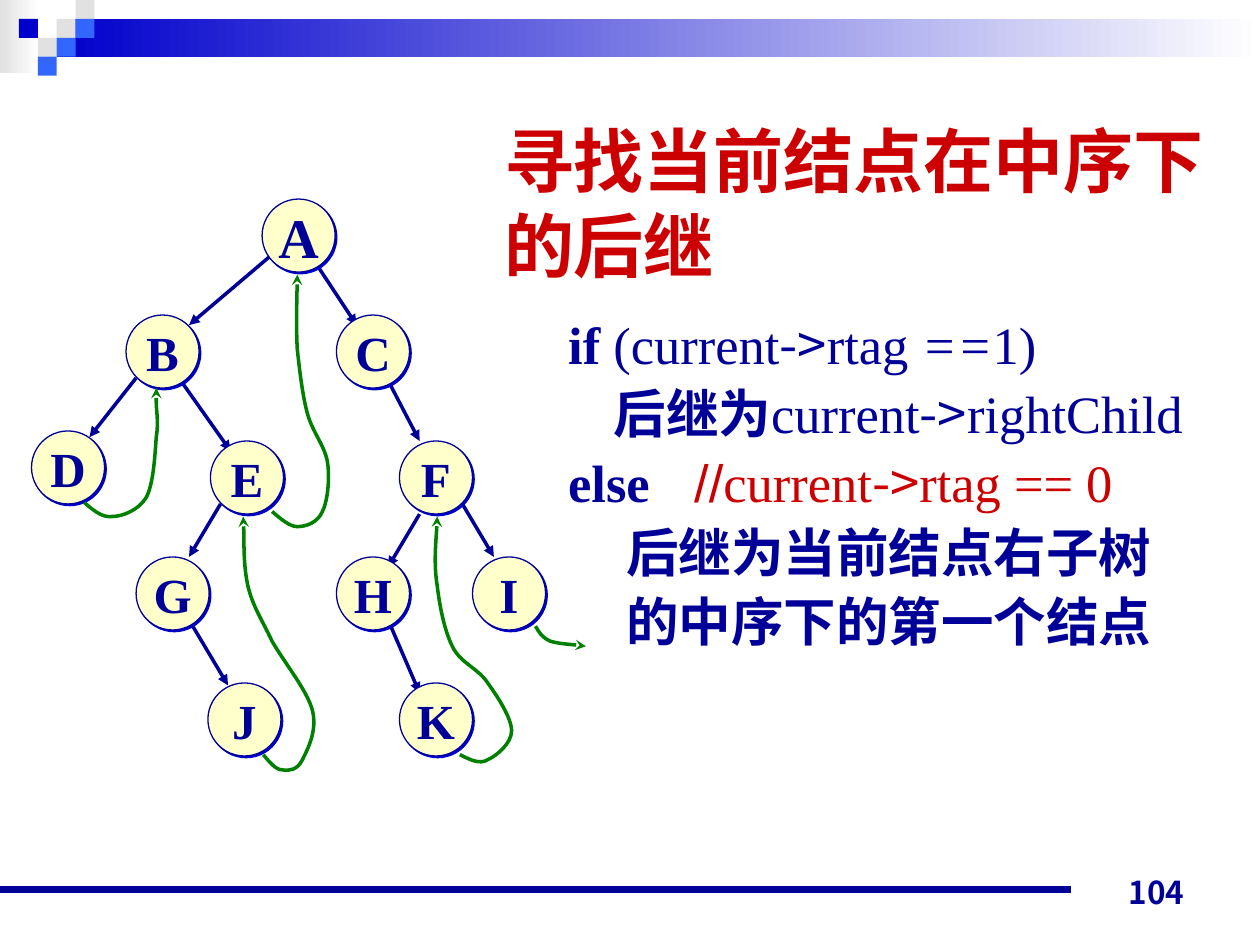
from pptx import Presentation
from pptx.dml.color import RGBColor
from pptx.enum.shapes import MSO_CONNECTOR, MSO_SHAPE
from pptx.enum.text import MSO_ANCHOR, MSO_AUTO_SIZE, PP_ALIGN
from pptx.oxml import parse_xml
from pptx.oxml.ns import nsdecls, qn
from pptx.util import Inches, Pt
from lxml.etree import SubElement

COLORS = {"navy": "000099", "red": "CC0000", "green": "008000", "cream": "FFFFCC",
          "blue": "0000CC", "sky": "3366FF", "grey": "E1E1E1", "white": "FFFFFF"}
SERIF, SANS, CJK = "Times New Roman", "Arial", "Noto Sans CJK SC"
CELL = 0.15
NODE_SIZE = 0.58

CHECKERS = [(3, 1, "grey"), (4, 0, "grey"), (4, 1, "sky"), (2, 2, "grey"),
            (1, 1, "blue"), (3, 2, "sky"), (2, 3, "sky")]
NODES = {"A": (2.08, 1.58), "B": (1, 2.5), "D": (0.25, 3.42), "E": (1.67, 3.5),
         "C": (2.67, 2.5), "F": (3.17, 3.5), "H": (2.67, 4.42), "I": (3.75, 4.42),
         "K": (3.17, 5.42), "G": (1.08, 4.42), "J": (1.65, 5.42)}
EDGES = [((2.5, 2.08), (2.83, 2.58)), ((3.07, 3), (3.33, 3.5)),
         ((3.67, 4), (3.92, 4.42)), ((3.33, 4.08), (3.08, 4.5)),
         ((3.08, 4.92), (3.33, 5.5)), ((2.16, 2.02), (1.5, 2.58)),
         ((1.42, 3), (1.83, 3.58)), ((1.75, 4), (1.5, 4.42)),
         ((1.5, 4.92), (1.81, 5.44)), ((1.08, 3), (0.71, 3.47))]
# Each thread: a start point, then three Bezier points per segment.
THREADS = [
    [(0.67, 3.99), (0.74, 4.05), (0.81, 4.11), (0.89, 4.1), (0.97, 4.1), (1.1, 4.05),
     (1.16, 3.95), (1.22, 3.84), (1.23, 3.6), (1.24, 3.47), (1.26, 3.35), (1.24, 3.26),
     (1.24, 3.2), (1.24, 3.13), (1.24, 3.1), (1.24, 3.08)],
    [(2.16, 4.06), (2.23, 4.12), (2.3, 4.18), (2.36, 4.18), (2.43, 4.18), (2.52, 4.15),
     (2.56, 4.06), (2.6, 3.98), (2.62, 3.8), (2.6, 3.67), (2.58, 3.54), (2.48, 3.43),
     (2.44, 3.28), (2.4, 3.13), (2.38, 2.95), (2.36, 2.77), (2.35, 2.58), (2.36, 2.27),
     (2.36, 2.18)],
    [(2.09, 5.99), (2.14, 6.05), (2.19, 6.11), (2.24, 6.11), (2.3, 6.12), (2.36, 6.11),
     (2.4, 6.03), (2.44, 5.95), (2.52, 5.8), (2.48, 5.64), (2.44, 5.48), (2.25, 5.25),
     (2.16, 5.09), (2.08, 4.92), (2.01, 4.82), (1.97, 4.66), (1.93, 4.49), (1.94, 4.2),
     (1.93, 4.1)],
    [(3.65, 5.99), (3.73, 6.03), (3.81, 6.07), (3.87, 6.03), (3.94, 6), (4.06, 5.9),
     (4.06, 5.8), (4.06, 5.7), (3.95, 5.53), (3.87, 5.42), (3.8, 5.31), (3.67, 5.27),
     (3.6, 5.15), (3.53, 5.02), (3.49, 4.82), (3.47, 4.65), (3.44, 4.47), (3.47, 4.19),
     (3.47, 4.1)],
    [(4.25, 4.97), (4.28, 5.02), (4.3, 5.06), (4.37, 5.09), (4.44, 5.11), (4.6, 5.12),
     (4.65, 5.13)],
]
# Each line: left indent, then spans of text, font, colour, bold, italic.
CODE_LINES = [
    (0, [("if", SERIF, "navy", True, False), (" (current", SERIF, "navy", False, False),
         ("->", CJK, "navy", False, False), ("rtag ", SERIF, "navy", False, False),
         ("==", SERIF, "navy", False, True), ("1)", SERIF, "navy", False, False)]),
    (0.36, [("后继为", SERIF, "navy", True, False), ("current", SERIF, "navy", False, False),
            ("->", CJK, "navy", False, False), ("rightChild", SERIF, "navy", False, False)]),
    (0, [("else\t", SERIF, "navy", True, False), ("//", SANS, "red", False, False),
         ("current", SERIF, "red", False, False), ("->", CJK, "red", False, False),
         ("rtag == 0", SERIF, "red", False, False)]),
    (0.46, [("后继为当前结点右子树", SERIF, "navy", True, False)]),
    (0.46, [("的中序下的第一个结点", SERIF, "navy", True, False)]),
]


def color(name):
    return RGBColor.from_string(COLORS[name])


def place(shape, left, top, width, height):
    shape.left, shape.top = Inches(left), Inches(top)
    shape.width, shape.height = Inches(width), Inches(height)


def add_span(para, text, size, font=SERIF, shade="navy", bold=True, italic=False, east=CJK):
    span = para.add_run()
    span.text = text
    span.font.name, span.font.size = font, Pt(size)
    span.font.bold, span.font.italic = bold, italic
    span.font.color.rgb = color(shade)
    SubElement(span.font._element, qn("a:ea")).set("typeface", east)


def add_band(page, left, top, width, height, *shades):
    """Add a borderless rectangle, solid or with a left-to-right gradient."""
    band = page.shapes.add_shape(MSO_SHAPE.RECTANGLE, Inches(left), Inches(top),
                                 Inches(width), Inches(height))
    band.shadow.inherit = False
    band.line.fill.background()
    if len(shades) == 1:
        band.fill.solid()
        band.fill.fore_color.rgb = color(shades[0])
    else:
        band.fill.gradient()
        band.fill.gradient_angle = 0
        for stop, shade, position in zip(band.fill.gradient_stops, shades, (0, 1)):
            stop.color.rgb, stop.position = color(shade), position


def style_line(shape, shade, width, arrow=None):
    shape.line.color.rgb = color(shade)
    shape.line.width = Pt(width)
    if arrow:
        SubElement(shape.line._get_or_add_ln(), qn("a:tailEnd")).set("type", arrow)


def add_line(page, start, end, width, arrow=None):
    line = page.shapes.add_connector(MSO_CONNECTOR.STRAIGHT,
                                     *(Inches(value) for value in (*start, *end)))
    style_line(line, "navy", width, arrow)
    SubElement(line._element.spPr, qn("a:effectLst"))


def add_node(page, letter, left, top):
    node = page.shapes.add_shape(MSO_SHAPE.OVAL, Inches(left), Inches(top),
                                 Inches(NODE_SIZE), Inches(NODE_SIZE))
    node.fill.solid()
    node.fill.fore_color.rgb = color("cream")
    style_line(node, "navy", 0.75)
    node.shadow.inherit = False
    node._element.spPr.find(qn("a:effectLst")).append(parse_xml(
        f'<a:outerShdw {nsdecls("a")} blurRad="0" dist="{Pt(1.4)}" dir="2700000">'
        f'<a:srgbClr val="{COLORS["blue"]}"/></a:outerShdw>'))
    frame = node.text_frame
    frame.word_wrap = False
    frame.vertical_anchor = MSO_ANCHOR.MIDDLE
    para = frame.paragraphs[0]
    para.alignment = PP_ALIGN.CENTER
    add_span(para, letter, 32 if letter == "A" else 28)


def add_thread(page, points):
    """Add a curved arrow by turning each three line segments into one Bezier."""
    first, *rest = [(Inches(x), Inches(y)) for x, y in points]
    builder = page.shapes.build_freeform(*first)
    builder.add_line_segments(rest, close=False)
    thread = builder.convert_to_shape()
    thread.fill.background()
    thread.shadow.inherit = False
    style_line(thread, "green", 2, "stealth")
    outline = thread._element.find(".//" + qn("a:path"))
    segments = outline.findall(qn("a:lnTo"))
    for index in range(0, len(segments), 3):
        bezier = SubElement(outline, qn("a:cubicBezTo"))
        for segment in segments[index:index + 3]:
            bezier.append(segment[0])
            outline.remove(segment)


def prepare_text(shape):
    frame = shape.text_frame
    frame.word_wrap = True
    frame.auto_size = MSO_AUTO_SIZE.NONE
    frame.vertical_anchor = MSO_ANCHOR.TOP
    return frame


def fill_title(title):
    place(title, 3.9, 0.87, 5.8, 1.44)
    para = prepare_text(title).paragraphs[0]
    para.alignment = PP_ALIGN.LEFT
    para.line_spacing = Pt(48.6)
    add_span(para, "寻找当前结点在中序下的后继", 40, shade="red")


def fill_code(body):
    place(body, 4.41, 2.38, 5.4, 5)
    frame = prepare_text(body)
    for number, (indent, spans) in enumerate(CODE_LINES):
        para = frame.add_paragraph() if number else frame.paragraphs[0]
        para.line_spacing = Pt(39.5)
        para.space_before = Pt(0)
        props = para._element.get_or_add_pPr()
        props.set("marL", str(Inches(indent)))
        props.set("indent", "0")
        SubElement(props, qn("a:buNone"))
        tabs = SubElement(props, qn("a:tabLst"))
        SubElement(tabs, qn("a:tab"), pos=str(Inches(0.95)), algn="l")
        for text, font, shade, bold, italic in spans:
            add_span(para, text, 30, font, shade, bold, italic)


def add_page_number(page, number):
    box = page.shapes.add_textbox(Inches(7.17), Inches(6.78), Inches(2.33), Inches(0.5))
    frame = prepare_text(box)
    frame.vertical_anchor = MSO_ANCHOR.BOTTOM
    para = frame.paragraphs[0]
    para.alignment = PP_ALIGN.RIGHT
    add_span(para, number, 18, "Noto Sans CJK JP", east="Noto Sans CJK JP")


def main():
    deck = Presentation()
    deck.slide_width, deck.slide_height = Inches(10), Inches(7.5)
    page = deck.slides.add_slide(deck.slide_layouts[1])
    fill_title(page.shapes.title)
    fill_code(page.placeholders[1])
    add_band(page, 0, 0, 0.31, 0.58, "grey", "white")
    add_band(page, 3 * CELL, CELL, 9.55, 2 * CELL, "blue", "white")
    for column, row, shade in CHECKERS:
        add_band(page, column * CELL, row * CELL, CELL, CELL, shade)
    add_line(page, (0, 7.06), (8.5, 7.06), 4.5)
    add_page_number(page, "104")
    for start, end in EDGES:
        add_line(page, start, end, 2, "triangle")
    for letter, (left, top) in NODES.items():
        add_node(page, letter, left, top)
    for points in THREADS:
        add_thread(page, points)
    deck.save("out.pptx")


if __name__ == "__main__":
    main()
